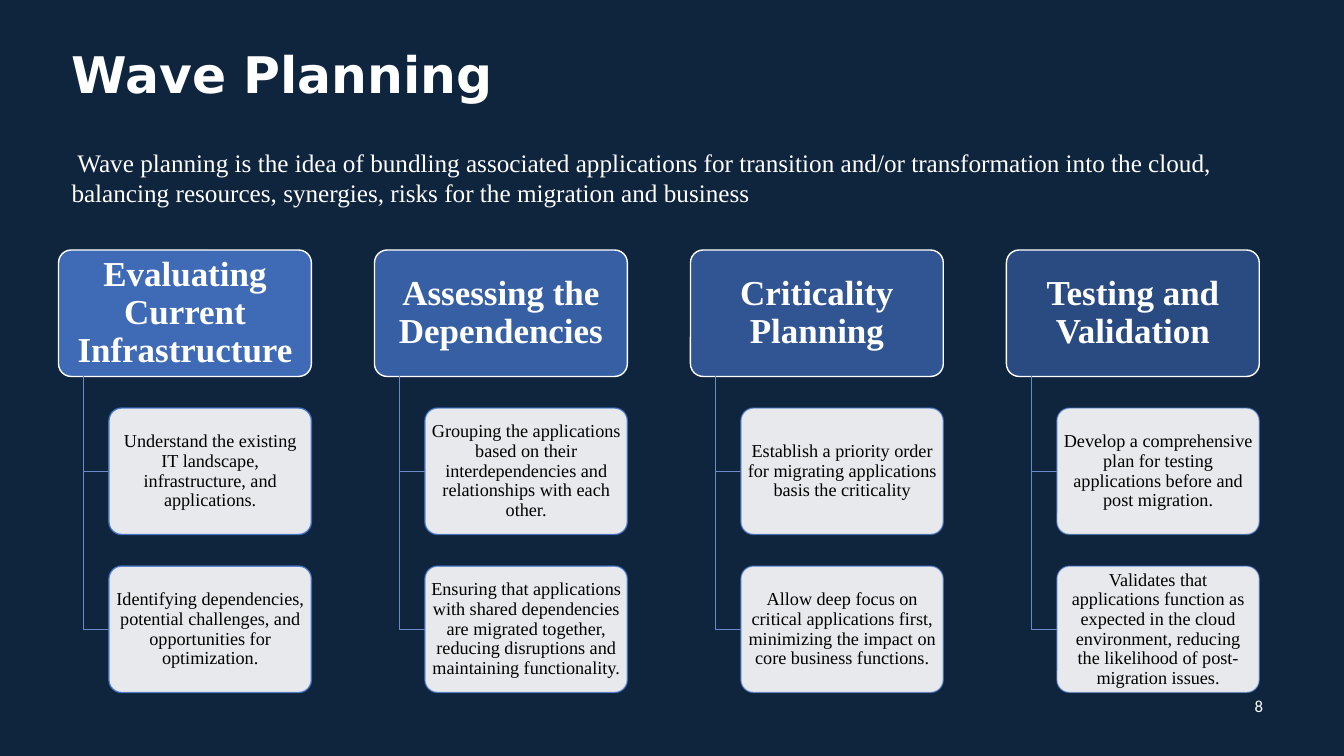
from lxml import etree
from pptx import Presentation
from pptx.dml.color import RGBColor
from pptx.enum import shapes, text
from pptx.oxml.ns import qn
from pptx.util import Pt

TITLE = "Wave Planning"
INTRO = (" Wave planning is the idea of bundling associated applications for transition and/or "
         "transformation into the cloud, balancing resources, synergies, risks for the migration "
         "and business")
PAGE_NUMBER = "8"
STAGES = [
    ("Evaluating Current Infrastructure", [
        "Understand the existing IT landscape, infrastructure, and applications.",
        "Identifying dependencies, potential challenges, and opportunities for optimization."]),
    ("Assessing the Dependencies", [
        "Grouping the applications based on their interdependencies and relationships with each "
        "other.",
        "Ensuring that applications with shared dependencies are migrated together, reducing "
        "disruptions and maintaining functionality."]),
    ("Criticality Planning", [
        "Establish a priority order for migrating applications basis the criticality",
        "Allow deep focus on critical applications first, minimizing the impact on core business "
        "functions."]),
    ("Testing and Validation", [
        "Develop a comprehensive plan for testing applications before and post migration.",
        "Validates that applications function as expected in the cloud environment, reducing the "
        "likelihood of post-migration issues."]),
]

NAVY = RGBColor(0x0F, 0x25, 0x3E)
BLUE = RGBColor(0x44, 0x72, 0xC4)
LINK_BLUE = RGBColor(0x6D, 0x89, 0xCB)
WHITE = RGBColor(0xFF, 0xFF, 0xFF)
BLACK = RGBColor(0, 0, 0)
SERIF = "Times New Roman"

# Grid of cards, in points
LEFT, TOP = 41.8, 178.6
STAGE_PITCH, ROW_PITCH = 225.7, 112.9
CARD_WIDTH, CARD_HEIGHT = 180.6, 90.3
TRUNK_INDENT, STEP_INDENT = 18, 36


def write(shape, words, size, color, font=SERIF, bold=False, align=text.PP_ALIGN.LEFT,
          anchor=text.MSO_ANCHOR.MIDDLE, spacing=1.0, insets=(7.2, 3.6)):
    frame = shape.text_frame
    frame.text = words
    frame.word_wrap = True
    frame.vertical_anchor = anchor
    frame.margin_left = frame.margin_right = Pt(insets[0])
    frame.margin_top = frame.margin_bottom = Pt(insets[1])
    para = frame.paragraphs[0]
    para.alignment = align
    para.line_spacing = spacing
    span = para.runs[0]
    span.font.size, span.font.name, span.font.bold = Pt(size), font, bold
    span.font.color.rgb = color


def add_text(page, box, words, size, **style):
    write(page.shapes.add_textbox(*map(Pt, box)), words, size, WHITE, **style)


def set_opacity(parent, percent):
    """Make the solid fill directly under an XML element see-through."""
    color = parent.find(qn("a:solidFill")).find(qn("a:srgbClr"))
    etree.SubElement(color, qn("a:alpha")).set("val", str(round(percent * 1000)))


def add_card(page, left, top, width, fill, fill_opacity, line, line_opacity):
    card = page.shapes.add_shape(shapes.MSO_SHAPE.ROUNDED_RECTANGLE,
                                 Pt(left), Pt(top), Pt(width), Pt(CARD_HEIGHT))
    card.adjustments[0] = 0.1
    card.shadow.inherit = False
    card.fill.solid()
    card.fill.fore_color.rgb = fill
    card.line.color.rgb = line
    card.line.width = Pt(1)
    properties = card._element.spPr
    set_opacity(properties, fill_opacity)
    set_opacity(properties.find(qn("a:ln")), line_opacity)
    return card


def add_elbow(page, left, top, right, bottom):
    """Draw a line down from a stage card and right to a step card."""
    builder = page.shapes.build_freeform(Pt(left), Pt(top))
    builder.add_line_segments([(Pt(left), Pt(bottom)), (Pt(right), Pt(bottom))], close=False)
    elbow = builder.convert_to_shape()
    elbow.shadow.inherit = False
    elbow.fill.background()
    elbow.line.color.rgb = LINK_BLUE
    elbow.line.width = Pt(1)


def add_stage(page, index, heading, steps):
    left = LEFT + index * STAGE_PITCH
    card = add_card(page, left, TOP, CARD_WIDTH, BLUE,
                    90 - 40 * index / (len(STAGES) - 1), WHITE, 100)
    centred = {"align": text.PP_ALIGN.CENTER, "spacing": 0.9}
    write(card, heading, 25, WHITE, bold=True, insets=(3.75, 2.5), **centred)

    step_total = len(STAGES) * len(steps)
    for row, step in enumerate(steps):
        top = TOP + (row + 1) * ROW_PITCH
        add_elbow(page, left + TRUNK_INDENT, TOP + CARD_HEIGHT,
                  left + STEP_INDENT, top + CARD_HEIGHT / 2)
        order = index * len(steps) + row
        card = add_card(page, left + STEP_INDENT, top, CARD_WIDTH - STEP_INDENT, WHITE, 90,
                        BLUE, 90 - 40 * order / (step_total - 1))
        write(card, step, 13, BLACK, insets=(1.95, 1.3), **centred)


def main():
    deck = Presentation()
    deck.slide_width, deck.slide_height = Pt(960), Pt(540)
    page = deck.slides.add_slide(deck.slide_layouts[6])
    page.background.fill.solid()
    page.background.fill.fore_color.rgb = NAVY

    add_text(page, (44, 17.3, 448.6, 76.3), TITLE, 36, font="DejaVu Sans", bold=True,
             spacing=0.9, insets=(7.2, 7.2))
    add_text(page, (881.3, 489.6, 36, 28.8), PAGE_NUMBER, 12, font="Calibri",
             align=text.PP_ALIGN.CENTER)
    add_text(page, (44, 101.5, 864.7, 51.1), INTRO, 18, anchor=text.MSO_ANCHOR.TOP)
    for index, (heading, steps) in enumerate(STAGES):
        add_stage(page, index, heading, steps)
    deck.save("out.pptx")


if __name__ == "__main__":
    main()
